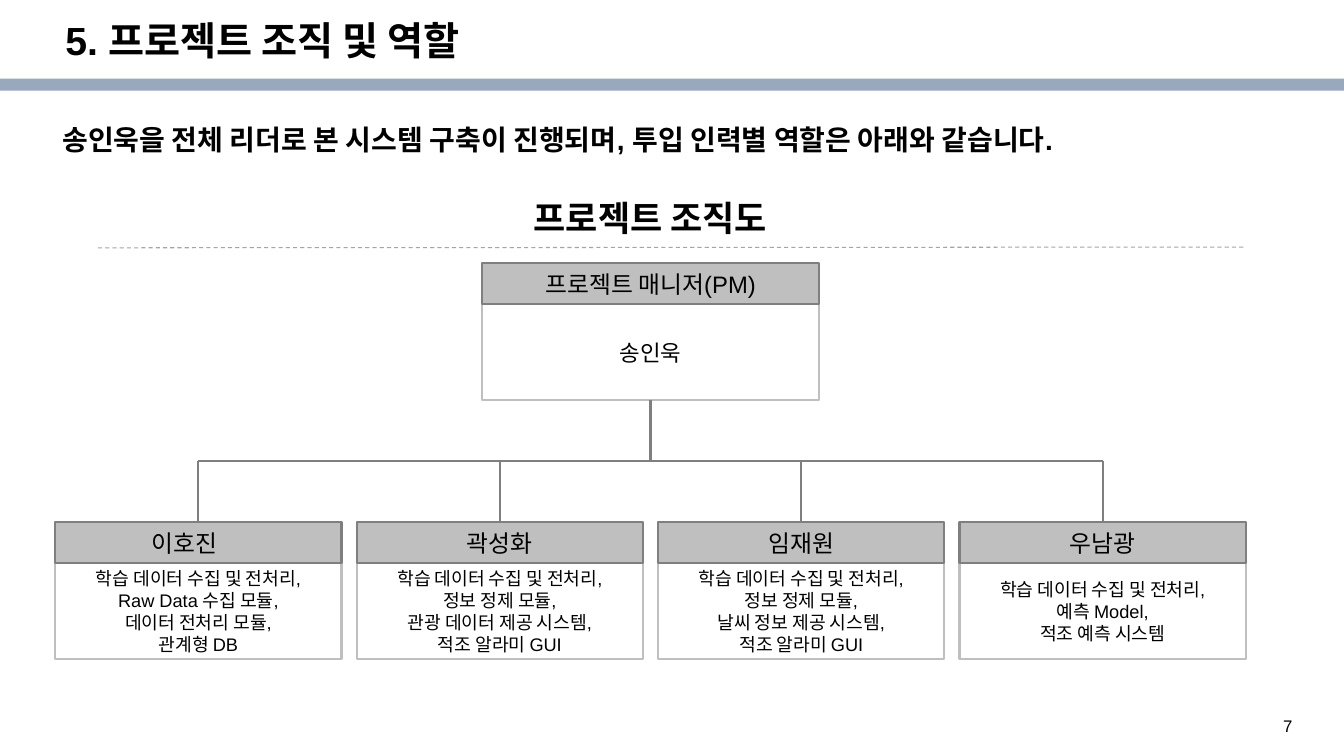
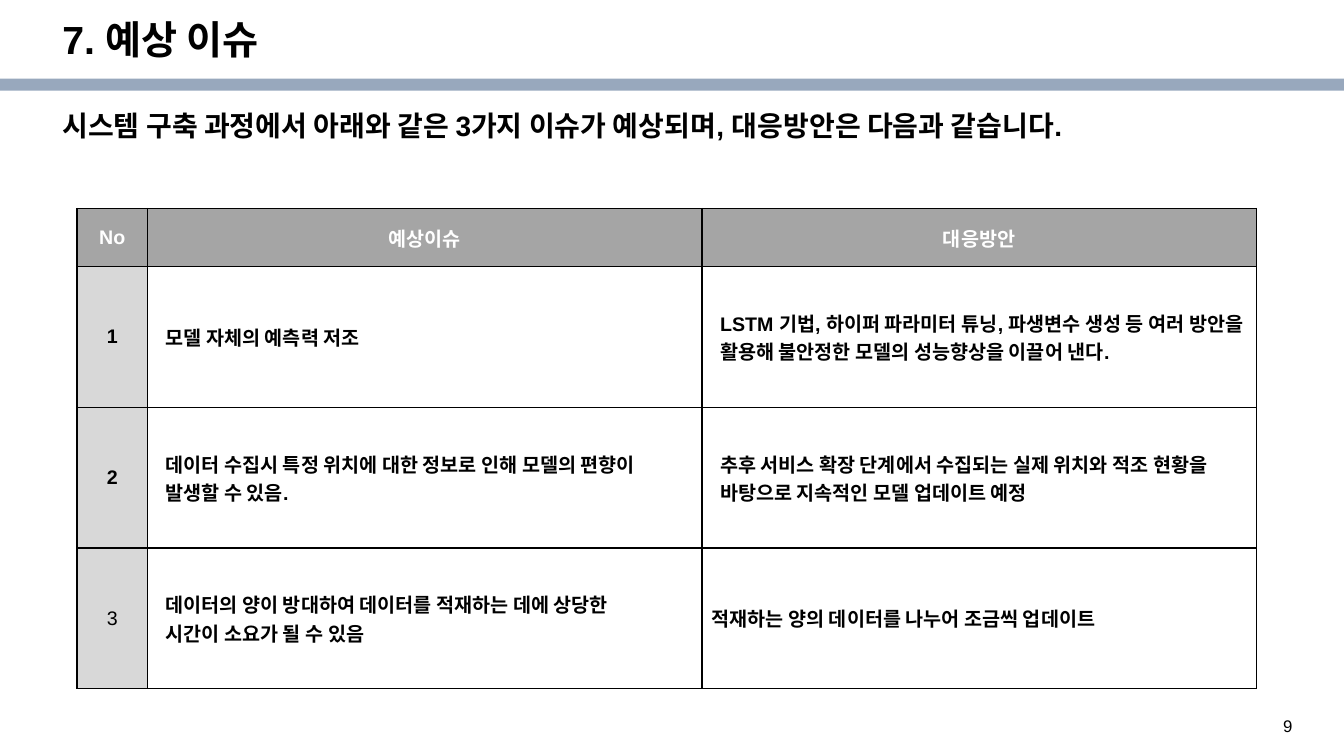
import pptx
import pptx.dml.color
import pptx.enum.dml
import pptx.enum.shapes
import pptx.enum.text
import pptx.oxml
import pptx.oxml.ns
import pptx.util

Pt = pptx.util.Pt
RGBColor = pptx.dml.color.RGBColor
ALIGN = pptx.enum.text.PP_ALIGN
ANCHOR = pptx.enum.text.MSO_ANCHOR
RECTANGLE = pptx.enum.shapes.MSO_SHAPE.RECTANGLE
STRAIGHT = pptx.enum.shapes.MSO_CONNECTOR.STRAIGHT

FONT = "Arial"
COLORS = {
    "band": "98A8BD",
    "text": "000000",
    "white": "FFFFFF",
    "box_head": "BFBFBF",
    "box_line": "BFBFBF",
    "dark_line": "7F7F7F",
    "divider": "A5A5A5",
    "table_head": "A5A5A5",
    "table_number": "D8D8D8",
}


def color(name):
    return RGBColor.from_string(COLORS[name])


def write_text(text_frame, text, size, bold=False, text_color="text",
               align=ALIGN.LEFT, anchor=ANCHOR.TOP, line_spacing=None):
    """Fill a text frame, one paragraph per line, and format its runs."""
    text_frame.text = text
    text_frame.word_wrap = True
    text_frame.vertical_anchor = anchor
    for paragraph in text_frame.paragraphs:
        paragraph.alignment = align
        paragraph.line_spacing = line_spacing
        for run in paragraph.runs:
            run.font.name = FONT
            run.font.size = Pt(size)
            run.font.bold = bold
            run.font.color.rgb = color(text_color)


presentation = pptx.Presentation()
presentation.slide_width = Pt(960)
presentation.slide_height = Pt(540)

# Shared frame: band, title, lead sentence, page number
pages = [
    ("5. 프로젝트 조직 및 역할", 39.6, 11.5,
     "송인욱을 전체 리더로 본 시스템 구축이 진행되며, 투입 인력별 역할은 아래와 같습니다.", 87, "7"),
    ("7. 예상 이슈", 37.5, 10.8,
     "시스템 구축 과정에서 아래와 같은 3가지 이슈가 예상되며, 대응방안은 다음과 같습니다.", 76.5, "9"),
]
slides = []
for title, title_left, title_top, lead, lead_top, page_number in pages:
    slide = presentation.slides.add_slide(presentation.slide_layouts[6])
    slides.append(slide)
    band = slide.shapes.add_shape(RECTANGLE, Pt(0), Pt(56.2), Pt(960), Pt(8.6))
    band.shadow.inherit = False
    band.fill.solid()
    band.fill.fore_color.rgb = color("band")
    band.line.fill.background()

    title_box = slide.shapes.add_textbox(Pt(title_left), Pt(title_top), Pt(828), Pt(38))
    write_text(title_box.text_frame, title, 28, bold=True, anchor=ANCHOR.MIDDLE, line_spacing=0.9)
    lead_box = slide.shapes.add_textbox(Pt(37.5), Pt(lead_top), Pt(865), Pt(38))
    write_text(lead_box.text_frame, lead, 20, bold=True, line_spacing=0.9)
    number_box = slide.shapes.add_textbox(Pt(909.4), Pt(507.6), Pt(37.4), Pt(19.4))
    write_text(number_box.text_frame, page_number, 12)

organization_slide, issue_slide = slides

# Organization chart
chart_title = organization_slide.shapes.add_textbox(Pt(354), Pt(137), Pt(221), Pt(29))
write_text(chart_title.text_frame, "프로젝트 조직도", 25, bold=True, align=ALIGN.CENTER)

HEAD_HEIGHT = 29
MANAGER_LEFT, MANAGER_TOP, MANAGER_WIDTH = 344.2, 188, 241
MEMBER_LEFT, MEMBER_TOP, MEMBER_WIDTH, MEMBER_PITCH = 39.5, 373, 204.5, 215.3
BUS_TOP = 329

members = [
    ("이호진", "학습 데이터 수집 및 전처리,\nRaw Data 수집 모듈,\n데이터 전처리 모듈,\n관계형 DB"),
    ("곽성화", "학습 데이터 수집 및 전처리,\n정보 정제 모듈,\n관광 데이터 제공 시스템,\n적조 알라미 GUI"),
    ("임재원", "학습 데이터 수집 및 전처리,\n정보 정제 모듈,\n날씨 정보 제공 시스템,\n적조 알라미 GUI"),
    ("우남광", "학습 데이터 수집 및 전처리,\n예측 Model,\n적조 예측 시스템"),
]
cards = [("프로젝트 매니저(PM)", "송인욱", 16, MANAGER_LEFT, MANAGER_TOP, MANAGER_WIDTH)]
for index, (name, duties) in enumerate(members):
    cards.append((name, duties, 13, MEMBER_LEFT + index * MEMBER_PITCH, MEMBER_TOP, MEMBER_WIDTH))

heads, bodies = [], []
for head_text, body_text, body_size, left, top, width in cards:
    parts = [
        (bodies, body_text, body_size, top + HEAD_HEIGHT, 69, None, "box_line"),
        (heads, head_text, 17, top, HEAD_HEIGHT, "box_head", "dark_line"),
    ]
    for group, text, size, part_top, height, fill, line in parts:
        box = organization_slide.shapes.add_shape(
            RECTANGLE, Pt(left), Pt(part_top), Pt(width), Pt(height))
        box.shadow.inherit = False
        if fill:
            box.fill.solid()
            box.fill.fore_color.rgb = color(fill)
        else:
            box.fill.background()
        box.line.color.rgb = color(line)
        box.line.width = Pt(1.5)
        write_text(box.text_frame, text, size, align=ALIGN.CENTER, anchor=ANCHOR.MIDDLE)
        group.append(box)

manager_body, member_heads = bodies[0], heads[1:]
heads[1].text_frame.margin_right = Pt(27)  # sets this name left of centre

# Lines: divider, trunk, bus, and one drop per member
centers = [MEMBER_LEFT + MEMBER_WIDTH / 2 + index * MEMBER_PITCH for index in range(len(members))]
trunk_left = MANAGER_LEFT + MANAGER_WIDTH / 2
lines = [
    (70, 177, 890, 176.5, None, None),
    (trunk_left, 286, trunk_left, BUS_TOP, manager_body, None),
    (centers[0], BUS_TOP, centers[-1], BUS_TOP, None, None),
]
for center, head in zip(centers, member_heads):
    lines.append((center, BUS_TOP, center, MEMBER_TOP, None, head))

connectors = []
for start_left, start_top, end_left, end_top, start_box, end_box in lines:
    connector = organization_slide.shapes.add_connector(
        STRAIGHT, Pt(start_left), Pt(start_top), Pt(end_left), Pt(end_top))
    if start_box:
        connector.begin_connect(start_box, 2)
    if end_box:
        connector.end_connect(end_box, 0)
    connector.line.color.rgb = color("dark_line")
    connector.line.width = Pt(1.5)
    properties = connector.element.spPr
    properties.append(properties.makeelement(pptx.oxml.ns.qn("a:effectLst"), {}))
    connectors.append(connector)

divider = connectors[0]
divider.line.color.rgb = color("divider")
divider.line.width = Pt(0.75)
divider.line.dash_style = pptx.enum.dml.MSO_LINE.DASH

# Issue table
rows = [
    ("No", "예상이슈", "대응방안"),
    ("1", "모델 자체의 예측력 저조",
     "LSTM 기법, 하이퍼 파라미터 튜닝, 파생변수 생성 등 여러 방안을 활용해 불안정한 모델의 성능향상을 이끌어 낸다."),
    ("2", "데이터 수집시 특정 위치에 대한 정보로 인해 모델의 편향이 발생할 수 있음.",
     "추후 서비스 확장 단계에서 수집되는 실제 위치와 적조 현황을 바탕으로 지속적인 모델 업데이트 예정"),
    ("3", "데이터의 양이 방대하여 데이터를 적재하는 데에 상당한\n시간이 소요가 될 수 있음",
     "적재하는 양의 데이터를 나누어 조금씩 업데이트"),
]
column_widths = [50.4, 396, 396]
row_heights = [41.5, 100.5, 100.5, 100.5]
table = issue_slide.shapes.add_table(
    len(rows), len(column_widths), Pt(55), Pt(149),
    Pt(sum(column_widths)), Pt(sum(row_heights))).table
table.first_row = False
table.horz_banding = False
for column, width in zip(table.columns, column_widths):
    column.width = Pt(width)
for row, height in zip(table.rows, row_heights):
    row.height = Pt(height)

for row_index, row_texts in enumerate(rows):
    for column_index, text in enumerate(row_texts):
        cell = table.cell(row_index, column_index)
        is_head, is_number = row_index == 0, column_index == 0
        is_last = row_index == len(rows) - 1
        write_text(cell.text_frame, text, 14,
                   bold=not (is_number and is_last),
                   text_color="white" if is_head else "text",
                   align=ALIGN.CENTER if is_head or is_number else ALIGN.LEFT)
        cell.vertical_anchor = ANCHOR.MIDDLE
        if not is_head and not is_number:
            cell.margin_left = Pt(7 if is_last and column_index == 2 else 13)
        cell_properties = cell._tc.get_or_add_tcPr()
        for side in ("lnL", "lnR", "lnT", "lnB"):
            cell_properties.append(pptx.oxml.parse_xml(
                f'<a:{side} {pptx.oxml.ns.nsdecls("a")} w="{Pt(1)}"><a:solidFill>'
                f'<a:srgbClr val="{COLORS["text"]}"/></a:solidFill></a:{side}>'))
        if is_head or is_number:
            cell.fill.solid()
            cell.fill.fore_color.rgb = color("table_head" if is_head else "table_number")
        else:
            cell.fill.background()

presentation.save("out.pptx")
